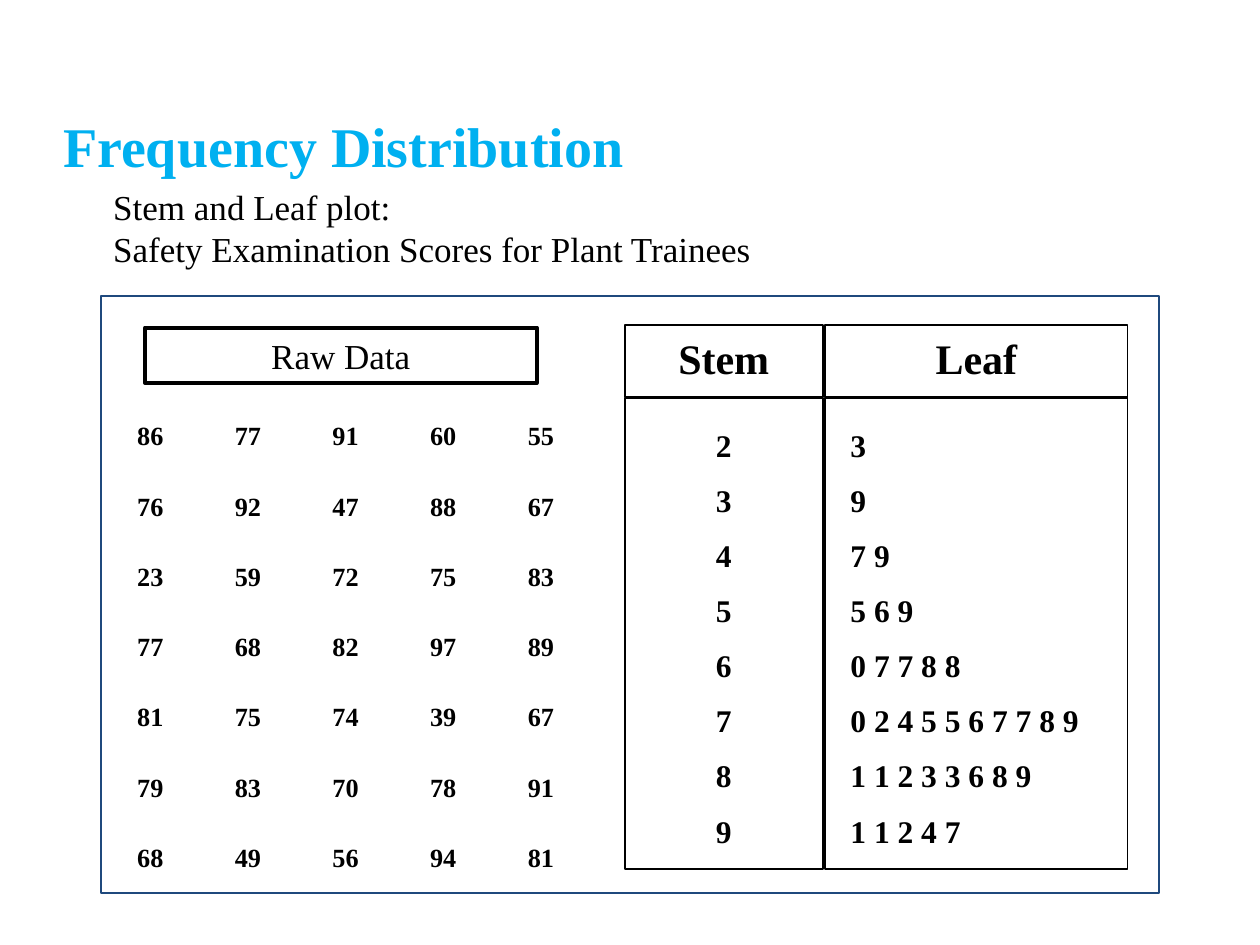
from dataclasses import dataclass

from pptx import Presentation
from pptx import util as u
from pptx.dml.color import RGBColor
from pptx.enum import shapes, text


@dataclass(frozen=True)
class Theme:
    font: str = "Times New Roman"
    ink: str = "000000"
    accent: str = "00B0F0"
    frame: str = "1F497D"
    title: int = 32
    header: int = 24
    body: int = 20
    leaf: int = 18
    score: int = 15


THEME = Theme()

# The slide is a grid of 100 columns by 75 rows
COLUMNS, ROWS = 100, 75
WIDTH, HEIGHT = u.Inches(10), u.Inches(7.5)

RAW_SCORES = [
    [86, 77, 91, 60, 55],
    [76, 92, 47, 88, 67],
    [23, 59, 72, 75, 83],
    [77, 68, 82, 97, 89],
    [81, 75, 74, 39, 67],
    [79, 83, 70, 78, 91],
    [68, 49, 56, 94, 81],
]
STEM_LEAVES = {
    "2": "3",
    "3": "9",
    "4": "7 9",
    "5": "5 6 9",
    "6": "0 7 7 8 8",
    "7": "0 2 4 5 5 6 7 7 8 9",
    "8": "1 1 2 3 3 6 8 9",
    "9": "1 1 2 4 7",
}


def area(column, row, columns, rows):
    """Turn grid units into left, top, width and height."""
    return (
        round(WIDTH * column / COLUMNS),
        round(HEIGHT * row / ROWS),
        round(WIDTH * columns / COLUMNS),
        round(HEIGHT * rows / ROWS),
    )


def write(shape, content, size, color=THEME.ink, bold=False,
          align=text.PP_ALIGN.LEFT, anchor=text.MSO_ANCHOR.TOP, wrap=True):
    frame = shape.text_frame
    frame.text = content
    frame.word_wrap = wrap
    frame.vertical_anchor = anchor
    for para in frame.paragraphs:
        para.alignment = align
        for span in para.runs:
            span.font.name = THEME.font
            span.font.size = u.Pt(size)
            span.font.bold = bold
            span.font.color.rgb = RGBColor.from_string(color)
    return frame


def set_insets(frame, side, top):
    frame.margin_left = frame.margin_right = u.Inches(side)
    frame.margin_top = frame.margin_bottom = u.Inches(top)


def add_title(page, content):
    title = page.shapes.title
    title.left, title.top, title.width, title.height = area(5, 5.3, 90, 12.5)
    frame = write(title, content, THEME.title, THEME.accent, bold=True,
                  anchor=text.MSO_ANCHOR.MIDDLE)
    set_insets(frame, 0, 0)


def add_label(parent, place, content, size, **style):
    box = parent.shapes.add_textbox(*place)
    frame = write(box, content, size, **style)
    frame.auto_size = text.MSO_AUTO_SIZE.SHAPE_TO_FIT_TEXT


def add_box(page, place, line=THEME.ink, weight=1):
    box = page.shapes.add_shape(shapes.MSO_SHAPE.RECTANGLE, *place)
    box.shadow.inherit = False
    box.fill.background()
    box.line.color.rgb = RGBColor.from_string(line)
    box.line.width = u.Pt(weight)
    return box


def add_raw_data(page):
    group = page.shapes.add_group_shape()
    for row, scores in enumerate(RAW_SCORES):
        for column, score in enumerate(scores):
            place = area(9.9 + 7.75 * column, 32.8 + 5.58 * row, 4.1, 3.5)
            add_label(group, place, str(score), THEME.score,
                      bold=True, wrap=False)
    heading = add_box(page, area(11.5, 26, 31.1, 4.4), weight=2.25)
    write(heading, "Raw Data", THEME.body, align=text.PP_ALIGN.CENTER,
          anchor=text.MSO_ANCHOR.MIDDLE, wrap=False)


def add_plot_column(page, left, width, heading, entries, align):
    header = add_box(page, area(left, 25.8, width, 5.7))
    frame = write(header, heading, THEME.header, bold=True,
                  align=text.PP_ALIGN.CENTER, anchor=text.MSO_ANCHOR.MIDDLE)
    frame.paragraphs[0].line_spacing = 0.9

    body = add_box(page, area(left, 31.6, width, 37.4))
    frame = write(body, "\n".join(entries), THEME.leaf, bold=True, align=align)
    set_insets(frame, 0.2, 0.22)
    for para in frame.paragraphs[1:]:
        para.space_before = u.Pt(9.9)


def main():
    deck = Presentation()
    deck.slide_width, deck.slide_height = WIDTH, HEIGHT
    page = deck.slides.add_slide(deck.slide_layouts.get_by_name("Title Only"))

    # Headings
    add_title(page, "Frequency Distribution")
    add_label(page, area(8, 14.2, 77.9, 7.7),
              "Stem and Leaf plot:\vSafety Examination Scores for Plant Trainees",
              THEME.body)

    # Outer frame with the raw scores on the left
    add_box(page, area(8, 23.5, 84, 47.4), THEME.frame)
    add_raw_data(page)

    # Stem and leaf plot on the right
    add_plot_column(page, 49.6, 15.7, "Stem", STEM_LEAVES.keys(),
                    text.PP_ALIGN.CENTER)
    add_plot_column(page, 65.5, 24, "Leaf", STEM_LEAVES.values(),
                    text.PP_ALIGN.LEFT)

    deck.save("out.pptx")


if __name__ == "__main__":
    main()
